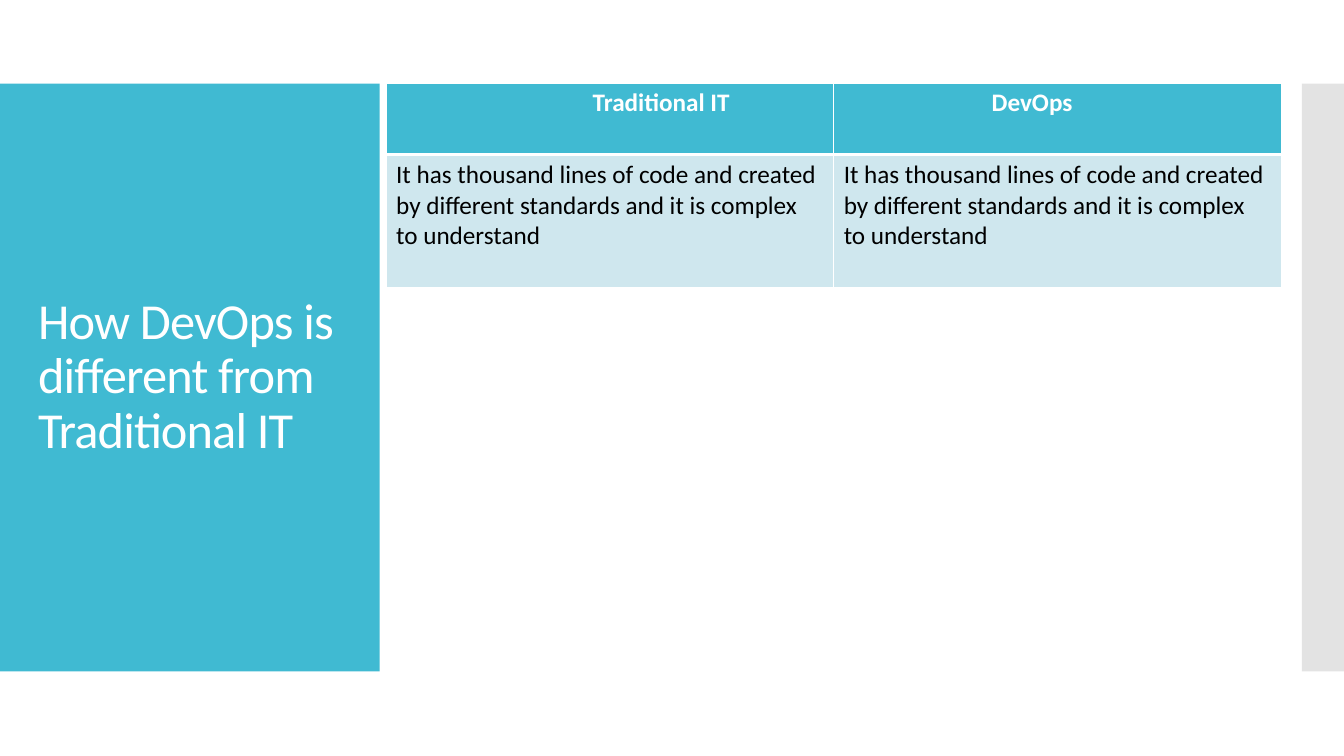
from lxml import etree
from pptx import Presentation
from pptx.dml.color import RGBColor
from pptx.enum.shapes import MSO_SHAPE
from pptx.enum.text import MSO_ANCHOR, PP_ALIGN
from pptx.oxml.ns import qn
from pptx.util import Cm, Pt

RECTANGLE = MSO_SHAPE.RECTANGLE
MIDDLE = MSO_ANCHOR.MIDDLE
LEFT, CENTER = PP_ALIGN.LEFT, PP_ALIGN.CENTER

COLOURS = {"teal": "40BAD2", "pale": "CFE7EE", "grey": "C8C8C8",
           "white": "FFFFFF", "black": "000000"}
FONT = "Calibri"

TITLE = "How DevOps is different from Traditional IT"
# Heading, alignment, left inset in cm
HEADINGS = [("Traditional IT", CENTER, 2.84), ("DevOps", LEFT, 3.98)]
DESCRIPTIONS = [
    "It has thousand lines of code and created by different standards and it is complex to understand",
    "It has thousand lines of code and created by different standards and it is complex to understand",
]

PAGE_WIDTH, PAGE_HEIGHT = 33.87, 19.05
BAND_TOP, BAND_HEIGHT = 2.11, 14.81
TITLE_PANEL_WIDTH, SIDE_STRIP_WIDTH = 9.57, 1.06
TABLE_LEFT, TABLE_TOP, COLUMN_WIDTH = 9.73, 2.09, 11.28
ROW_HEIGHTS = [1.8, 3.36]


def rgb(name):
    return RGBColor.from_string(COLOURS[name])


def write_text(frame, text, size=18, colour="black", bold=False, align=LEFT,
               line_spacing=None, tracking=None):
    """Fill a frame with one paragraph; tracking is in hundredths of a point."""
    para = frame.paragraphs[0]
    para.alignment = align
    para.line_spacing = line_spacing
    span = para.add_run()
    span.text = text
    span.font.name = FONT
    span.font.size = Pt(size)
    span.font.bold = bold
    span.font.color.rgb = rgb(colour)
    if tracking is not None:
        span.font._element.set("spc", str(tracking))


def add_band(page, left, width, colour, opacity=100):
    band = page.shapes.add_shape(RECTANGLE, Cm(left), Cm(BAND_TOP), Cm(width), Cm(BAND_HEIGHT))
    band.shadow.inherit = False
    band.fill.solid()
    band.fill.fore_color.rgb = rgb(colour)
    band.line.fill.background()
    if opacity < 100:
        colour_node = band._element.spPr.find(qn("a:solidFill"))[0]
        etree.SubElement(colour_node, qn("a:alpha"), val=str(opacity * 1000))


def set_borders(cell, **widths):
    """Draw white borders; widths are in points, keyed by side L, R, T and B."""
    properties = cell._tc.get_or_add_tcPr()
    for index, (side, width) in enumerate(widths.items()):
        line = etree.Element(qn("a:ln" + side), w=str(Pt(width)))
        fill = etree.SubElement(line, qn("a:solidFill"))
        etree.SubElement(fill, qn("a:srgbClr"), val=COLOURS["white"])
        properties.insert(index, line)


def format_cell(cell, fill, top, bottom):
    cell.fill.solid()
    cell.fill.fore_color.rgb = rgb(fill)
    set_borders(cell, L=1, R=1, T=top, B=bottom)


def add_comparison(page):
    columns = len(HEADINGS)
    table = page.shapes.add_table(
        len(ROW_HEIGHTS), columns, Cm(TABLE_LEFT), Cm(TABLE_TOP),
        Cm(COLUMN_WIDTH * columns), Cm(sum(ROW_HEIGHTS))).table
    for row, height in zip(table.rows, ROW_HEIGHTS):
        row.height = Cm(height)
    for index, ((heading, align, inset), description) in enumerate(zip(HEADINGS, DESCRIPTIONS)):
        table.columns[index].width = Cm(COLUMN_WIDTH)
        head, body = table.cell(0, index), table.cell(1, index)
        format_cell(head, "teal", top=1, bottom=3)
        format_cell(body, "pale", top=3, bottom=1)
        head.margin_left = Cm(inset)
        write_text(head.text_frame, heading, colour="white", bold=True, align=align)
        write_text(body.text_frame, description)


def main():
    deck = Presentation()
    deck.slide_width, deck.slide_height = Cm(PAGE_WIDTH), Cm(PAGE_HEIGHT)
    page = deck.slides.add_slide(deck.slide_layouts[6])
    add_band(page, 0, TITLE_PANEL_WIDTH, "teal")
    add_band(page, PAGE_WIDTH - SIDE_STRIP_WIDTH, SIDE_STRIP_WIDTH, "grey", opacity=50)

    title = page.shapes.add_textbox(Cm(0.71), Cm(3.12), Cm(8.18), Cm(12.78)).text_frame
    title.word_wrap = True
    title.vertical_anchor = MIDDLE
    write_text(title, TITLE, size=36, colour="white", line_spacing=0.9, tracking=-60)

    add_comparison(page)
    deck.save("out.pptx")


if __name__ == "__main__":
    main()
